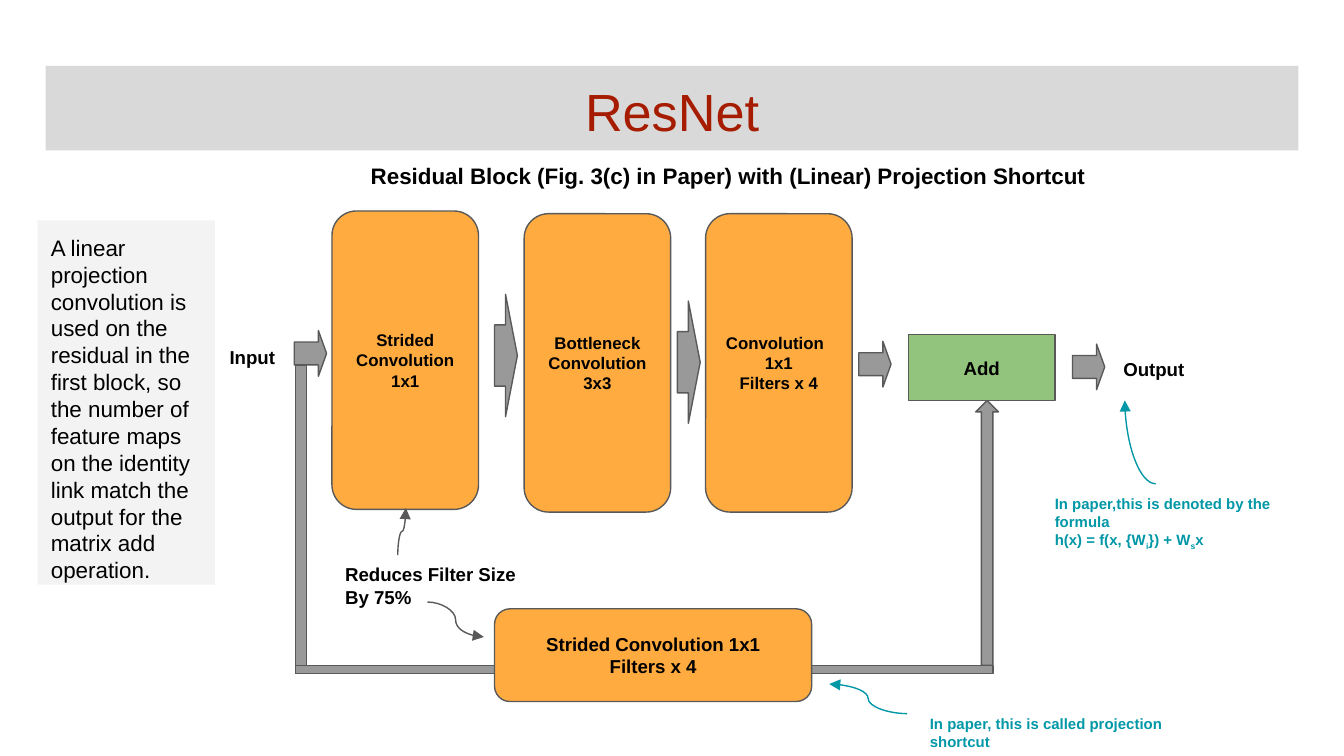
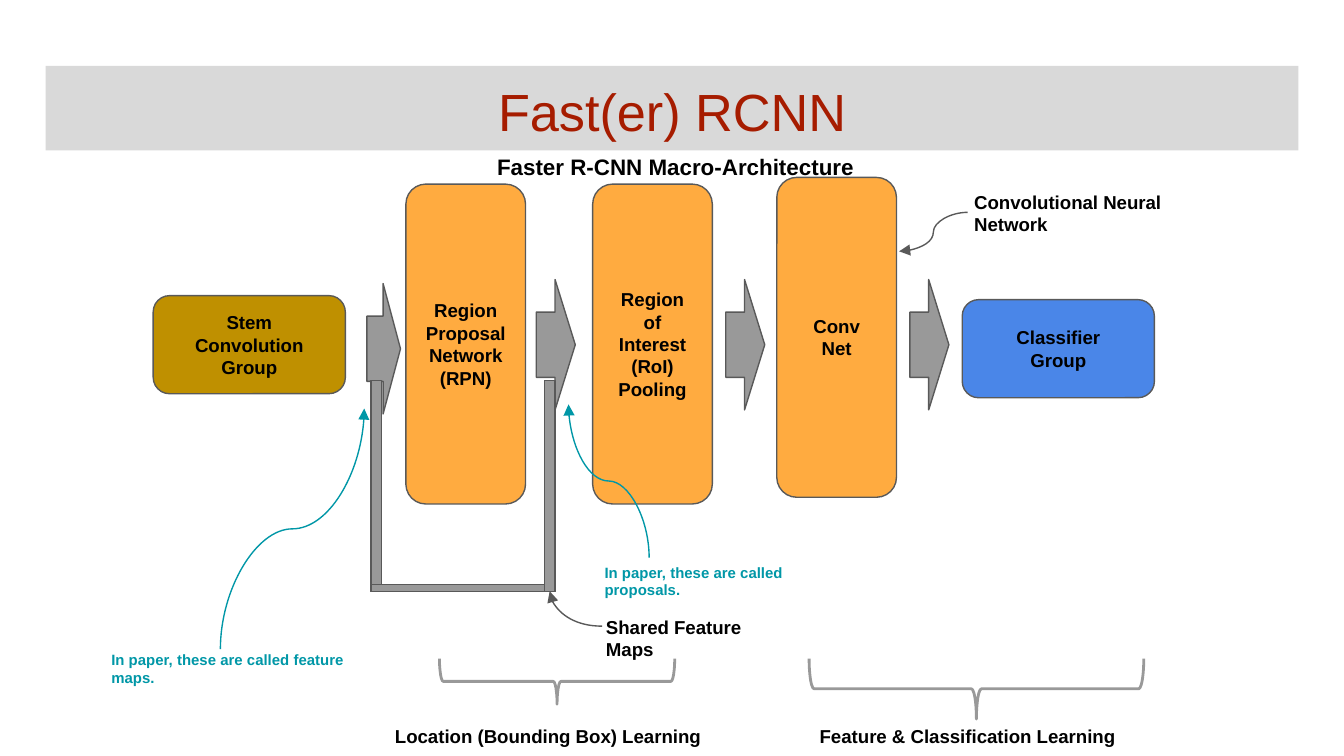
from dataclasses import dataclass

from lxml.etree import SubElement
from pptx import Presentation
from pptx.dml.color import RGBColor
from pptx.enum.shapes import MSO_CONNECTOR, MSO_SHAPE
from pptx.enum.text import MSO_ANCHOR, PP_ALIGN
from pptx.oxml.ns import qn
from pptx.util import Inches, Pt

# Slide and grid: 100 columns across, rows as high as columns are wide
WIDE = Inches(10)
HIGH = WIDE * 9 // 16
CELL = WIDE // 100

FONT = "Arial"
BLACK = RGBColor(0x00, 0x00, 0x00)
RED = RGBColor(0xA6, 0x1C, 0x00)
BAND = RGBColor(0xD9, 0xD9, 0xD9)
PALE = RGBColor(0xF3, 0xF3, 0xF3)
GREY = RGBColor(0x99, 0x99, 0x99)
DARK = RGBColor(0x59, 0x59, 0x59)
TEAL = RGBColor(0x00, 0x97, 0xA7)
AMBER = RGBColor(0xFF, 0xAB, 0x40)
GREEN = RGBColor(0x93, 0xC4, 0x7D)
GOLD = RGBColor(0xBF, 0x90, 0x00)
BLUE = RGBColor(0x4A, 0x86, 0xE8)

ROUND = MSO_SHAPE.ROUNDED_RECTANGLE
RECT = MSO_SHAPE.RECTANGLE


@dataclass
class Area:
    """A region of a slide; its parts are placed from its top left cell."""
    slide: object
    col: float
    row: float

    def spot(self, x, y):
        return round((self.col + x) * CELL), round((self.row + y) * CELL)

    def frame(self, box):
        x, y, w, h = box
        return *self.spot(x, y), round(w * CELL), round(h * CELL)


# Basic parts
def write(shape, paras, size, color=BLACK, bold=True, align=PP_ALIGN.LEFT):
    """Each paragraph is a string, or a list of (text, is_subscript) pairs."""
    frame = shape.text_frame
    frame.word_wrap = True
    frame.margin_left = frame.margin_right = Inches(0.1)
    frame.margin_top = frame.margin_bottom = Inches(0.1)
    for i, para in enumerate(paras):
        line = frame.paragraphs[0] if i == 0 else frame.add_paragraph()
        line.alignment = align
        parts = [(para, False)] if isinstance(para, str) else para
        for text, sub in parts:
            for j, piece in enumerate(text.split("\n")):
                if j:
                    line.add_line_break()
                run = line.add_run()
                run.text = piece
                run.font.name = FONT
                run.font.size = Pt(size)
                run.font.bold = bold
                run.font.color.rgb = color
                if sub:
                    run.font._element.set("baseline", "-25000")


def draw(area, kind, box, fill=None, edge=DARK, width=0.75):
    shape = area.slide.shapes.add_shape(kind, *area.frame(box))
    shape.shadow.inherit = False
    if fill is None:
        shape.fill.background()
    else:
        shape.fill.solid()
        shape.fill.fore_color.rgb = fill
    if edge is None:
        shape.line.fill.background()
    else:
        shape.line.color.rgb = edge
        shape.line.width = Pt(width)
    return shape


def turned(area, kind, box, **style):
    """Draw a shape turned a quarter left so that it covers the box."""
    x, y, w, h = box
    shape = draw(area, kind, (x + (w - h) / 2, y + (h - w) / 2, h, w), **style)
    shape.rotation = 270
    return shape


def block(area, box, paras, fill=AMBER, size=10, kind=ROUND):
    shape = draw(area, kind, box, fill)
    shape.text_frame.vertical_anchor = MSO_ANCHOR.MIDDLE
    write(shape, paras, size, align=PP_ALIGN.CENTER)
    return shape


def label(area, box, paras, size=10, color=BLACK):
    write(area.slide.shapes.add_textbox(*area.frame(box)), paras, size, color)


def remark(area, box, paras):
    label(area, box, paras, 8, TEAL)


def arrow(area, box, head):
    shape = turned(area, MSO_SHAPE.DOWN_ARROW, box, fill=GREY)
    shape.adjustments[0] = 0.5
    shape.adjustments[1] = head


def bar(area, box):
    draw(area, RECT, box, GREY)


def curve(area, start, end, color=DARK, way="across"):
    """Curved arrow that leaves across, upright, or bends once."""
    (ax, ay), (bx, by) = start, end
    if way == "upright":
        mx, my, dx, dy = (ax + bx) / 2, (ay + by) / 2, bx - ax, by - ay
        start = mx + dy / 2, my - dx / 2
        end = mx - dy / 2, my + dx / 2
    link = area.slide.shapes.add_connector(
        MSO_CONNECTOR.CURVE, *area.spot(*start), *area.spot(*end))
    link.line.color.rgb = color
    link.line.width = Pt(0.75)
    props = link._element.spPr
    if way == "upright":
        props.find(qn("a:xfrm")).set("rot", str(270 * 60000))
    if way == "bend":
        props.find(qn("a:prstGeom")).set("prst", "curvedConnector2")
    SubElement(props.find(qn("a:ln")), qn("a:tailEnd"), type="triangle")
    SubElement(props, qn("a:effectLst"))


# Shared by both slides
def banner(slide, title):
    shape = draw(Area(slide, 3.4, 4.9), RECT, (0, 0, 93.2, 6.3), BAND, None)
    shape.text_frame.vertical_anchor = MSO_ANCHOR.TOP
    write(shape, [title], 28, RED, False, PP_ALIGN.CENTER)


def new(deck, title):
    slide = deck.slides.add_slide(deck.slide_layouts[6])
    banner(slide, title)
    return slide


# Regions of the residual block slide
def main_path(area):
    label(area, (10.6, -3.9, 57.1, 3.7),
          ["Residual Block (Fig. 3(c) in Paper) with (Linear) Projection Shortcut"], 12)
    steps = [
        (8.7, 0.7, ["Strided\nConvolution", "1x1"]),
        (23, 0.9, ["Bottleneck", "Convolution", "3x3"]),
        (36.5, 0.9, ["Convolution", "1x1", "Filters x 4"]),
    ]
    for x, y, paras in steps:
        last = block(area, (x, y, 10.9, 22.2), paras, size=9)
    last.text_frame.paragraphs[0].alignment = PP_ALIGN.LEFT
    for x, y in [(20.8, 6.9), (34.4, 7.4)]:
        arrow(area, (x, y, 1.7, 9.1), 0.517)
    for x, y in [(5.9, 9.6), (47.9, 10.4), (63.8, 10.6)]:
        arrow(area, (x, y, 2.4, 3.4), 0.253)
    block(area, (51.6, 9.9, 10.9, 4.9), ["Add"], GREEN, kind=RECT)
    label(area, (0.1, 9.9, 5.8, 2.7), ["Input"])
    label(area, (66.6, 10.8, 6.7, 2.7), ["Output"])


def shortcut(area):
    bar(area, (0, 0.2, 0.8, 22.9))
    bar(area, (0, 22.5, 51.9, 0.6))
    draw(area, MSO_SHAPE.UP_ARROW, (50.6, 2.8, 1.7, 19.7), GREY)
    block(area, (14.8, 18.3, 23.6, 6.9),
          ["Strided Convolution 1x1", "Filters x 4"])


def filter_note(area):
    label(area, (0.7, 3.9, 14.7, 6.9), ["Reduces Filter Size", "By 75%"])
    curve(area, (5.6, 4.3), (6.2, 0.8), way="upright")
    curve(area, (7.8, 7.8), (12, 10.4))


def formula_notes(area):
    remark(area, (7.2, 23.2, 20.2, 2.7),
           ["In paper, this is called projection shortcut"])
    curve(area, (6.5, 24.1), (0.7, 21.9), TEAL)
    formula = [("h(x) = f(x, {W", False), ("i", True), ("}) + W", False),
               ("s", True), ("x", False)]
    remark(area, (16.5, 6.8, 21.4, 4.9),
           ["In paper,this is denoted by the formula", formula])
    curve(area, (25, 7), (22.7, 0.8), TEAL, "bend")


def side_note(area):
    shape = draw(area, RECT, (0, 0, 13.2, 27.1), PALE, None)
    shape.text_frame.vertical_anchor = MSO_ANCHOR.TOP
    write(shape, ["A linear projection convolution is used on the residual in "
                  "the first block, so the number of feature maps on the "
                  "identity link match the output for the matrix add "
                  "operation."], 12, bold=False)


def residual(deck):
    slide = new(deck, "ResNet")
    main_path(Area(slide, 16, 15))
    shortcut(Area(slide, 22, 27))
    filter_note(Area(slide, 24, 37))
    formula_notes(Area(slide, 61, 29))
    side_note(Area(slide, 2.8, 16.4))


# Regions of the detector slide
def pipeline(area):
    label(area, (25, -2.6, 32, 4), ["Faster R-CNN Macro-Architecture"], 12)
    block(area, (0.4, 9, 14.3, 7.3), ["Stem\nConvolution Group"], GOLD)
    block(area, (60.6, 9.3, 14.3, 7.3), ["Classifier\nGroup"], BLUE)
    stages = [
        (19.2, 0.7, ["Region", "Proposal", "Network", "(RPN)"]),
        (33.1, 0.7, ["Region of Interest (RoI)\nPooling"]),
        (46.8, 0.2, ["Conv", "Net"]),
    ]
    for x, y, paras in stages:
        block(area, (x, y, 8.9, 23.8), paras)
    arrow(area, (16.3, 8.1, 2.5, 9.7), 0.517)
    for x in (28.9, 43, 56.7):
        arrow(area, (x, 7.8, 2.9, 9.7), 0.517)


def shared_maps(area):
    bar(area, (0.6, 0.3, 0.8, 15.7))
    bar(area, (0.6, 15.5, 13.7, 0.5))
    bar(area, (13.5, 0.3, 0.8, 15.7))
    label(area, (17.1, 16.8, 15.9, 3.1), ["Shared Feature Maps"])
    curve(area, (17.8, 18.6), (13.9, 16), way="bend")


def paper_notes(area):
    remark(area, (37, 10.9, 20.3, 2.9),
           ["In paper, these are called proposals."])
    remark(area, (0.3, 17.4, 20.3, 2.9),
           ["In paper, these are called feature maps."])
    curve(area, (9.4, 18.3), (20.1, 0.4), TEAL, "upright")
    curve(area, (41.3, 11.5), (35.3, 0.1), TEAL, "upright")


def net_note(area):
    label(area, (5.5, 0.2, 15.9, 3.1), ["Convolutional Neural Network"])
    curve(area, (6, 2.8), (0.9, 5.7))


def goal(area, brace, text):
    turned(area, MSO_SHAPE.LEFT_BRACE, brace, edge=GREY, width=1.5)
    label(area, (0, 4.1, 27.5, 3.1), [text])


def detector(deck):
    slide = new(deck, "Fast(er) RCNN")
    pipeline(Area(slide, 11, 13))
    shared_maps(Area(slide, 27, 28))
    paper_notes(Area(slide, 7, 30))
    net_note(Area(slide, 66, 13))
    goal(Area(slide, 28.4, 49), (4.3, 0, 17.5, 3.4),
         "Location (Bounding Box) Learning")
    goal(Area(slide, 60, 49), (0.2, 0, 24.9, 4.5),
         "Feature & Classification Learning")


def main():
    deck = Presentation()
    deck.slide_width, deck.slide_height = WIDE, HIGH
    residual(deck)
    detector(deck)
    deck.save("out.pptx")


if __name__ == "__main__":
    main()
